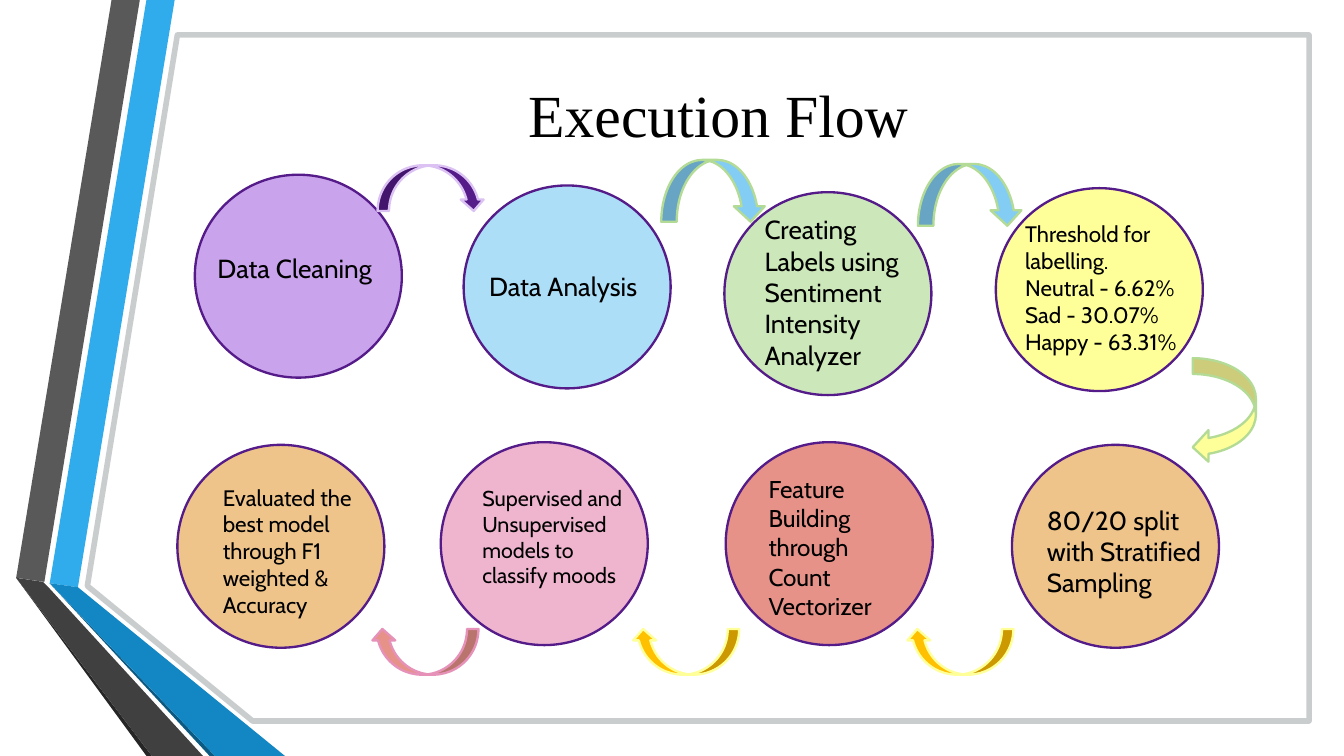
from lxml import etree
from pptx import Presentation
from pptx.dml.color import RGBColor
from pptx.enum.shapes import MSO_SHAPE as SHAPE
from pptx.enum.text import MSO_ANCHOR as ANCHOR, PP_ALIGN as ALIGN
from pptx.oxml.ns import qn
from pptx.util import Inches, Pt

COLORS = {
    "black": "000000", "white": "FFFFFF", "frame": "979D9F",
    "sky": "30ACEC", "blue": "1287C3", "navy": "0C5A82",
    "gray": "595959", "dark": "404040", "shade": "262626",
    "purple": "541B89", "lilac": "CAA3ED", "pale_lilac": "DBC2F3",
    "ice": "ACDEF7", "aqua": "83CDF4", "mint": "CCE7B9", "leaf": "B3DB95",
    "lemon": "FFFF99", "gold": "FFC000", "sand": "EEC48B",
    "coral": "E69289", "pink": "EFB5CF", "rose": "E691B7",
}
SLIDE_W, SLIDE_H = 10, 10 * 9 / 16
CIRCLE_W, CIRCLE_H = 1.54, 1.51
BODY_FONT, TITLE_FONT = "Cabin", "Times New Roman"


def rgb(name):
    return RGBColor.from_string(COLORS[name])


def paint(sp, fill, line=None, width=1.25):
    sp.shadow.inherit = False
    sp.fill.solid()
    sp.fill.fore_color.rgb = rgb(fill)
    if line:
        sp.line.color.rgb = rgb(line)
        sp.line.width = Pt(width)
    else:
        sp.line.fill.background()


def add_polygon(s, box, points, fill, line=None, width=1.25):
    x, y = box[:2]
    pts = [(Inches(x + px), Inches(y + py)) for px, py in points]
    builder = s.shapes.build_freeform(*pts[0])
    builder.add_line_segments(pts[1:], close=True)
    sp = builder.convert_to_shape()
    paint(sp, fill, line, width)
    return sp


def add_text(s, box, lines, size, font=BODY_FONT, align=ALIGN.LEFT,
             anchor=ANCHOR.TOP, inset=0.05):
    tf = s.shapes.add_textbox(*map(Inches, box)).text_frame
    settings = {"word_wrap": True, "vertical_anchor": anchor,
                "margin_left": Inches(0.1), "margin_right": Inches(0.1),
                "margin_top": Inches(inset), "margin_bottom": Inches(inset)}
    for key, value in settings.items():
        setattr(tf, key, value)
    for i, line in enumerate(lines):
        p = tf.paragraphs[0] if i == 0 else tf.add_paragraph()
        p.alignment = align
        r = p.add_run()
        r.text = line
        for key, value in {"name": font, "size": Pt(size)}.items():
            setattr(r.font, key, value)
        r.font.color.rgb = rgb("black")


def add_backdrop(s, box):
    x, y, w, h = box
    # Folded ribbons along the left edge
    ribbons = [
        ("sky", [(0.37, 4.34), (0.58, 4.37), (1.3, 0), (1.09, 0)]),
        ("gray", [(1.04, 0), (0.83, 0), (0.12, 4.3), (0.33, 4.33)]),
        ("shade", [(0.12, 4.3), (1.09, h), (1.13, h)]),
        ("navy", [(0.37, 4.34), (1.56, h), (1.6, h)]),
        ("blue", [(0.37, 4.34), (1.6, h), (2.12, h), (0.58, 4.37)]),
        ("dark", [(1.51, h), (0.36, 4.37), (0.32, 4.33), (0.12, 4.3),
                  (1.13, h)]),
    ]
    for fill, points in ribbons:
        add_polygon(s, box, points, fill)

    # Content frame with a half-transparent outline
    right, bottom = w - 0.26, h - 0.26
    frame = add_polygon(s, box, [(1.32, 0.26), (right, 0.26), (right, bottom),
                                 (1.88, bottom), (0.65, 4.36)],
                        "white", "frame", 3)
    line_color = frame.line._ln.find(".//" + qn("a:srgbClr"))
    etree.SubElement(line_color, qn("a:alpha")).set("val", "50000")


def add_step(s, box, fill, lines, size, label):
    """Circle in box, with a label at (dx, dy, w, h) from its corner."""
    x, y = box[:2]
    sp = s.shapes.add_shape(SHAPE.FLOWCHART_CONNECTOR, *map(Inches, box))
    paint(sp, fill, "purple")
    dx, dy, w, h = label
    add_text(s, (x + dx, y + dy, w, h), lines, size)


def add_arrow(s, box, fill, line, rotation=0, kind=SHAPE.CURVED_DOWN_ARROW):
    sp = s.shapes.add_shape(kind, *map(Inches, box))
    sp.rotation = rotation
    paint(sp, fill, line)
    if kind == SHAPE.CURVED_UP_ARROW:
        sp._element.spPr.find(qn("a:xfrm")).set("flipV", "1")


# left, top, fill, lines, text size, label box within the circle
STEPS = [
    (1.45, 1.3, "lilac", ["Data Cleaning"], 14, (0.07, 0.53, 1.57, 0.34)),
    (3.45, 1.38, "ice", ["Data Analysis"], 14, (0.09, 0.58, 1.68, 0.34)),
    (5.39, 1.43, "mint",
     ["Creating Labels using Sentiment Intensity Analyzer"], 14,
     (0.2, 0.11, 1.42, 1.28)),
    (7.41, 1.4, "lemon",
     ["Threshold for labelling.", "Neutral - 6.62%", "Sad - 30.07%",
      "Happy - 63.31%"], 12, (0.12, 0.19, 1.54, 1.11)),
    (7.53, 3.31, "sand", ["80/20 split with Stratified Sampling"], 14,
     (0.16, 0.39, 1.39, 0.81)),
    (5.4, 3.29, "coral", ["Feature Building through", "Count Vectorizer"], 13,
     (0.22, 0.19, 1.07, 1.19)),
    (3.28, 3.29, "pink",
     ["Supervised and Unsupervised models to classify moods"], 11.5,
     (0.21, 0.27, 1.35, 0.88)),
    (1.32, 3.31, "sand",
     ["Evaluated the best model through F1 weighted & Accuracy"], 12,
     (0.24, 0.24, 1.39, 1.11)),
]
TOP_ARROWS = [
    ((2.81, 1.23, 0.8, 0.34), "purple", "pale_lilac"),
    ((4.92, 1.19, 0.78, 0.46), "aqua", "leaf"),
    ((6.83, 1.22, 0.78, 0.46), "aqua", "leaf"),
]
BOTTOM_ARROWS = [(6.74, "gold", "lemon"), (4.7, "gold", "lemon"),
                 (2.76, "coral", "rose")]


def main():
    prs = Presentation()
    prs.slide_width, prs.slide_height = Inches(SLIDE_W), Inches(SLIDE_H)
    s = prs.slides.add_slide(prs.slide_layouts[6])

    add_backdrop(s, (0, 0, SLIDE_W, SLIDE_H))
    add_text(s, (3.67, 0.48, 3.35, 0.52), ["Execution Flow"], 32, TITLE_FONT,
             ALIGN.CENTER, inset=0.1)

    # Process steps, clockwise from the top left
    for x, y, *step in STEPS:
        add_step(s, (x, y, CIRCLE_W, CIRCLE_H), *step)

    # Arrows: top row, turn on the right, bottom row
    for arrow in TOP_ARROWS:
        add_arrow(s, *arrow)
    add_arrow(s, (8.72, 2.82, 0.78, 0.47), "lemon", "leaf", 90,
              SHAPE.CURVED_UP_ARROW)
    for x, fill, line in BOTTOM_ARROWS:
        add_arrow(s, (x, 4.68, 0.8, 0.34), fill, line, 180)

    prs.save("out.pptx")


if __name__ == "__main__":
    main()
